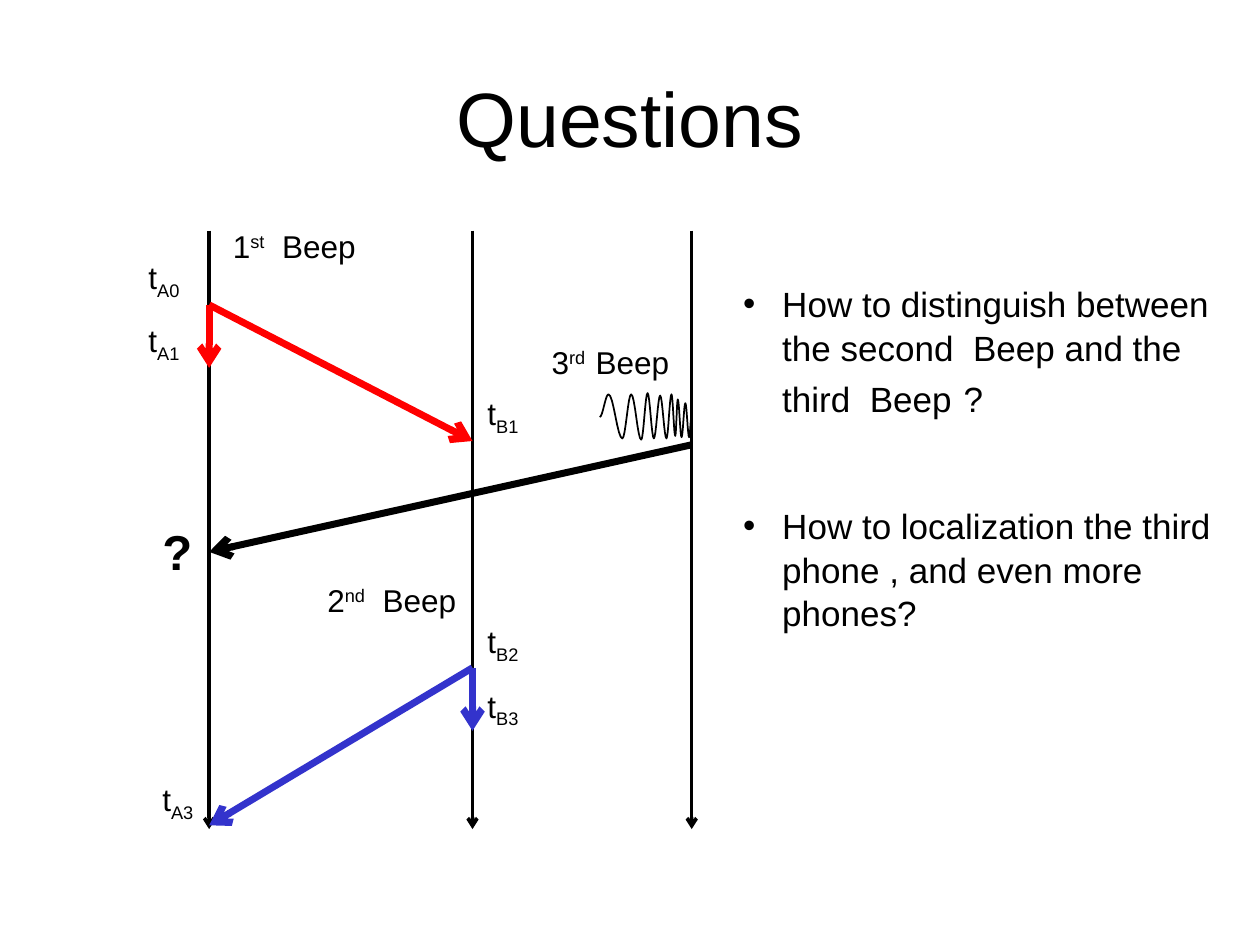
"""Build the Questions slide: beep timing between three phones."""
import math
import pptx
import pptx.util
import pptx.dml.color
import pptx.enum.shapes
import pptx.enum.text
import pptx.oxml.ns
import lxml.etree

Inches, Pt = pptx.util.Inches, pptx.util.Pt
BLACK, RED, BLUE = "000000", "FF0000", "3333CC"
PHONE_A, PHONE_B, PHONE_C = 1.66, 3.75, 5.49

ARROWS = [((x, 1.83), (x, 6.58), BLACK, 2) for x in (PHONE_A, PHONE_B, PHONE_C)] + [
    ((PHONE_B, 5.3), (PHONE_A, 6.55), BLUE, 4),
    ((PHONE_B, 5.3), (PHONE_B, 5.8), BLUE, 4),
    ((PHONE_A, 2.42), (PHONE_B, 3.5), RED, 4),
    ((PHONE_A, 2.42), (PHONE_A, 2.92), RED, 4),
    ((PHONE_C, 3.53), (PHONE_A, 4.38), BLACK, 4),
]
TIMES = [
    (1.08, 2, "A0"), (1.08, 2.5, "A1"), (1.19, 6.14, "A3"),
    (3.77, 3.08, "B1"), (3.77, 4.89, "B2"), (3.77, 5.4, "B3"),
]
BEEPS = [
    (1.75, 1.75, 1.2, "1", "st", "  Beep"),
    (2.5, 4.56, 1.26, "2", "nd", "  Beep"),
    (4.28, 2.67, 1.26, "3", "rd  ", "Beep"),
]
QUESTIONS = [
    [("How to distinguish between the second  Beep and the third  Beep", 20), (" ", 24), ("?", 20)],
    [("How to localization the third phone , and even more phones?", 20)],
]
WAVE = [
    (4.76, 3.31), (4.83, 3.13), (4.94, 3.48), (5.01, 3.13), (5.09, 3.49), (5.14, 3.12),
    (5.19, 3.48), (5.24, 3.14), (5.29, 3.48), (5.33, 3.13), (5.36, 3.46), (5.38, 3.17),
    (5.41, 3.47), (5.44, 3.2), (5.47, 3.47), (5.49, 3.3),
]


def color(value):
    return pptx.dml.color.RGBColor.from_string(value)


def add_element(parent, tag, **attributes):
    element = lxml.etree.SubElement(parent, pptx.oxml.ns.qn(tag))
    for name, value in attributes.items():
        element.set(name, value)


def style(p, size, bold=False):
    p.font.name, p.font.size, p.font.bold = "Arial", Pt(size), bold
    p.font.color.rgb = color(BLACK)


def add_box(s, x, y, w, h, wrap=False):
    tf = s.shapes.add_textbox(Inches(x), Inches(y), Inches(w), Inches(h)).text_frame
    tf.word_wrap = wrap
    return tf


def add_label(s, x, y, w, runs):
    p = add_box(s, x, y, w, 0.4).paragraphs[0]
    style(p, 18)
    for text, baseline in runs:
        r = p.add_run()
        r.text = text
        if baseline:
            r.font._element.set("baseline", str(baseline * 1000))


def add_arrow(s, start, end, line_color, width):
    sp = s.shapes.add_connector(pptx.enum.shapes.MSO_CONNECTOR.STRAIGHT,
                                *(Inches(v) for v in start + end))
    sp.line.color.rgb = color(line_color)
    sp.line.width = Pt(width)
    add_element(sp.line._get_or_add_ln(), "a:tailEnd", type="arrow")
    add_element(sp._element.spPr, "a:effectLst")


def add_wave(s, steps=8):
    points = []
    for (x0, y0), (x1, y1) in zip(WAVE, WAVE[1:]):
        for i in range(1, steps + 1):
            t = i / steps
            ease = (1 - math.cos(math.pi * t)) / 2
            points.append((Inches(x0 + (x1 - x0) * t), Inches(y0 + (y1 - y0) * ease)))
    builder = s.shapes.build_freeform(Inches(WAVE[0][0]), Inches(WAVE[0][1]))
    builder.add_line_segments(points, close=False)
    sp = builder.convert_to_shape()
    sp.shadow.inherit = False
    sp.fill.background()
    sp.line.color.rgb = color(BLACK)
    sp.line.width = Pt(1)


def add_questions(s):
    tf = add_box(s, 5.8, 2.18, 4.08, 3.69, wrap=True)
    for i, runs in enumerate(QUESTIONS):
        p = tf.add_paragraph() if i else tf.paragraphs[0]
        pPr = p._p.get_or_add_pPr()
        pPr.set("marL", str(Inches(0.31)))
        pPr.set("indent", str(Inches(-0.31)))
        add_element(pPr, "a:buFont", typeface="Arial")
        add_element(pPr, "a:buChar", char="•")
        p.line_spacing = 1.04
        if i:
            p.space_before = Pt(47)
        style(p, 20)
        for text, size in runs:
            r = p.add_run()
            r.text, r.font.size = text, Pt(size)


def main():
    prs = pptx.Presentation()
    prs.slide_width, prs.slide_height = Inches(10), Inches(7.5)
    s = prs.slides.add_slide(prs.slide_layouts[6])
    for arrow in ARROWS:
        add_arrow(s, *arrow)
    add_wave(s)
    for x, y, name in TIMES:
        add_label(s, x, y, 0.48, [("t", 0), (name, -25)])
    for x, y, w, number, suffix, word in BEEPS:
        add_label(s, x, y, w, [(number, 0), (suffix, 30), (word, 0)])
    p = add_box(s, 1.19, 4.09, 0.73, 0.57, wrap=True).paragraphs[0]
    p.text = "?"
    style(p, 28, bold=True)
    add_questions(s)
    tf = add_box(s, 0.5, 0.3, 9, 1.25, wrap=True)
    tf.vertical_anchor = pptx.enum.text.MSO_ANCHOR.MIDDLE
    p = tf.paragraphs[0]
    p.text = "Questions"
    p.alignment = pptx.enum.text.PP_ALIGN.CENTER
    style(p, 44)
    prs.save("out.pptx")


if __name__ == "__main__":
    main()
